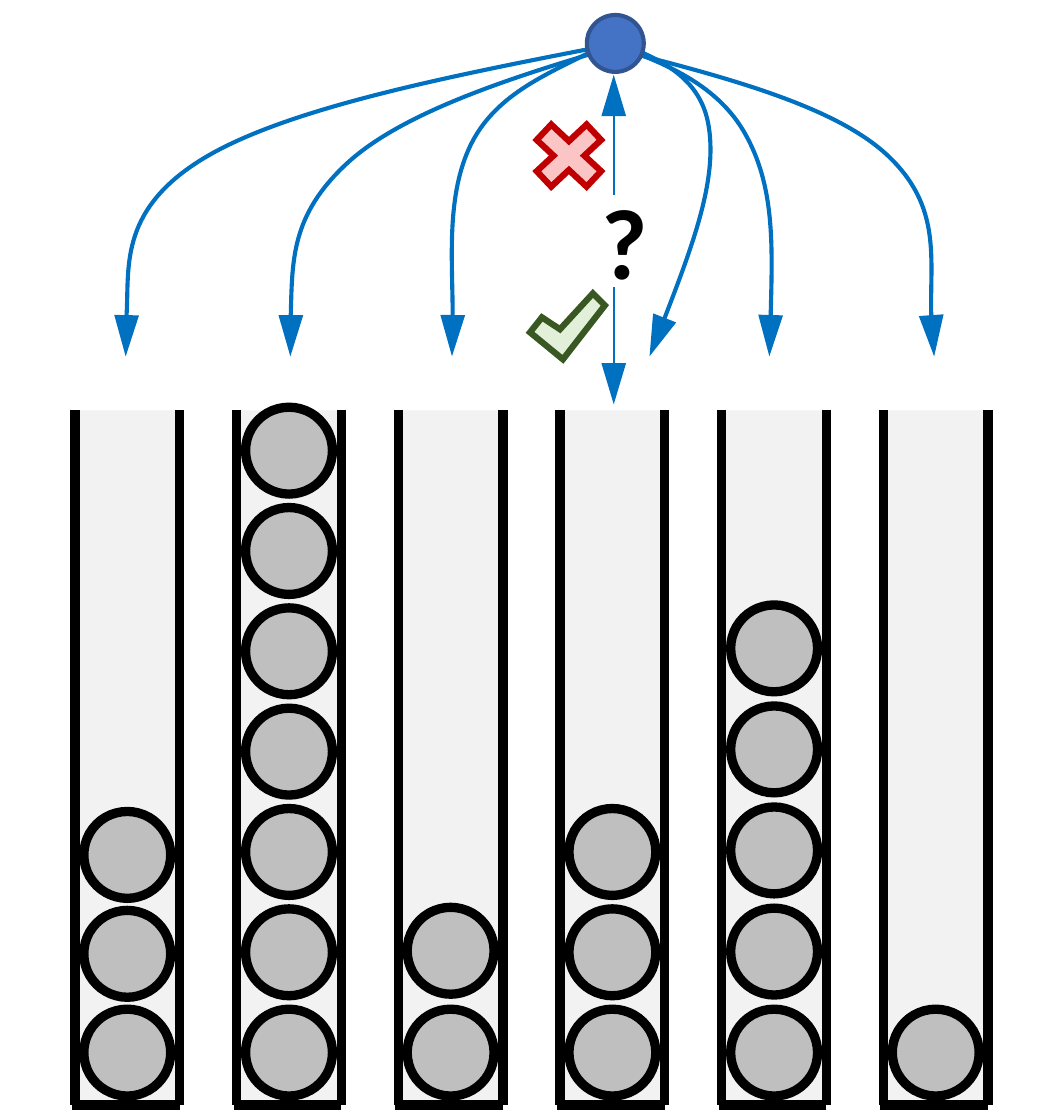
from lxml import etree
from pptx import Presentation
from pptx.dml import color
from pptx.enum import shapes, text
from pptx.oxml import ns
from pptx.util import Inches, Pt

COLORS = {
    "black": "000000",
    "tube": "F2F2F2",
    "ball": "BFBFBF",
    "arrow": "0070C0",
    "check": "E2F0D9",
    "check_edge": "385723",
    "cross": "FBC5C5",
    "cross_edge": "C00000",
    "source": "4472C4",
    "source_edge": "325491",
}
CM_PER_INCH = 2.54
SLIDE_FORMAT = {"slide_width": Inches(9 / CM_PER_INCH), "slide_height": Inches(9.5 / CM_PER_INCH)}
BALL_STACKS = [(3, 2.71), (7, 1.36), (2, 3.03), (3, 2.7), (5, 2.02), (1, 3.37)]
TUBE_LEFT, TUBE_TOP, TUBE_BOTTOM, TUBE_WIDTH, TUBE_PITCH = 0.25, 1.37, 3.69, 0.35, 0.54
BALL_INSET, BALL_SIZE, LOWEST_BALL = 0.03, 0.29, 3.37
CHECK_POINTS = [(1.77, 1.11), (1.81, 1.06), (1.87, 1.1), (1.98, 0.98), (2.02, 1.02), (1.88, 1.2)]
CURVES = [
    [(2.09, 0.14), (1.52, 0.25), (0.95, 0.36), (0.39, 0.71), (0.42, 1.19), (0.42, 1.19)],
    [(1.96, 0.18), (1.8, 0.26), (1.64, 0.33), (1.49, 0.67), (1.52, 1.02), (1.51, 1.19)],
    [(2.11, 0.14), (1.73, 0.25), (1.35, 0.37), (0.97, 0.72), (0.97, 0.96), (0.97, 1.19)],
    [(1.96, 0.12), (2.17, 0.19), (2.38, 0.26), (2.59, 0.62), (2.58, 0.91), (2.57, 1.19)],
    [(1.96, 0.11), (2.15, 0.17), (2.33, 0.23), (2.4, 0.59), (2.29, 0.89), (2.17, 1.19)],
    [(1.96, 0.14), (2.36, 0.24), (2.77, 0.34), (3.15, 0.69), (3.09, 0.97), (3.12, 1.19)],
]
FRAME_FORMAT = {
    "word_wrap": True,
    "vertical_anchor": text.MSO_ANCHOR.MIDDLE,
    "auto_size": text.MSO_AUTO_SIZE.SHAPE_TO_FIT_TEXT,
}
FONT_FORMAT = {"name": "Calibri", "size": Pt(24), "bold": True}


def rgb(name):
    return color.RGBColor.from_string(COLORS[name])


def set_attributes(target, values):
    for name, value in values.items():
        setattr(target, name, value)


def style_line(shape, name, width):
    shape.line.color.rgb = rgb(name)
    shape.line.width = Pt(width)
    outline = shape._element.spPr.find(ns.qn("a:ln"))
    etree.SubElement(outline, ns.qn("a:miter"), lim="800000")


def style_shape(shape, fill=None, edge=None, width=1):
    shape.shadow.inherit = False
    if fill:
        shape.fill.solid()
        shape.fill.fore_color.rgb = rgb(fill)
    else:
        shape.fill.background()
    if edge:
        style_line(shape, edge, width)
    else:
        shape.line.fill.background()


def add_arrowhead(shape):
    outline = shape._element.spPr.find(ns.qn("a:ln"))
    etree.SubElement(outline, ns.qn("a:tailEnd"), type="triangle", w="med", len="lg")


def add_preset(slide, kind, box, fill, edge=None, width=1):
    shape = slide.shapes.add_shape(kind, *map(Inches, box))
    style_shape(shape, fill, edge, width)


def add_line(slide, start, end, name, width, arrow=False):
    connector = slide.shapes.add_connector(
        shapes.MSO_CONNECTOR.STRAIGHT, *map(Inches, start + end))
    style_line(connector, name, width)
    if arrow:
        add_arrowhead(connector)
    etree.SubElement(connector._element.spPr, ns.qn("a:effectLst"))


def add_outline(slide, points, close):
    corners = [(Inches(x), Inches(y)) for x, y in points]
    builder = slide.shapes.build_freeform(*corners[0])
    builder.add_line_segments(corners[1:], close=close)
    return builder.convert_to_shape()


def add_curved_arrow(slide, points):
    (x1, y1), (x2, y2) = points[2:4]
    middle = ((x1 + x2) / 2, (y1 + y2) / 2)
    shape = add_outline(slide, points[:3] + [middle] + points[3:], False)
    segments = list(shape._element.iter(ns.qn("a:lnTo")))
    for first in range(0, len(segments), 3):
        group = segments[first:first + 3]
        curve = etree.Element(ns.qn("a:cubicBezTo"))
        group[0].addprevious(curve)
        for segment in group:
            curve.append(segment[0])
            segment.getparent().remove(segment)
    style_shape(shape, edge="arrow")
    add_arrowhead(shape)


def add_tube(slide, left):
    right = left + TUBE_WIDTH
    add_preset(slide, shapes.MSO_SHAPE.RECTANGLE,
               (left, TUBE_TOP, TUBE_WIDTH, TUBE_BOTTOM - TUBE_TOP), "tube")
    for side in (left, right):
        add_line(slide, (side, TUBE_TOP), (side, TUBE_BOTTOM), "black", 2.25)
    add_line(slide, (right, TUBE_BOTTOM), (left - 0.01, TUBE_BOTTOM), "black", 2.25)


def add_balls(slide, left, count, highest):
    pitch = (LOWEST_BALL - highest) / max(count - 1, 1)
    for level in range(count):
        top = LOWEST_BALL - level * pitch
        add_preset(slide, shapes.MSO_SHAPE.OVAL,
                   (left + BALL_INSET, top, BALL_SIZE, BALL_SIZE), "ball", "black", 2.25)


def add_label(slide, box, wording):
    frame = slide.shapes.add_textbox(*map(Inches, box)).text_frame
    set_attributes(frame, FRAME_FORMAT)
    paragraph = frame.paragraphs[0]
    paragraph.alignment = text.PP_ALIGN.CENTER
    run = paragraph.add_run()
    run.text = wording
    set_attributes(run.font, FONT_FORMAT)
    run.font.color.rgb = rgb("black")


def main():
    presentation = Presentation()
    set_attributes(presentation, SLIDE_FORMAT)
    presentation.element.find(ns.qn("p:sldSz")).attrib.pop("type", None)
    slide = presentation.slides.add_slide(presentation.slide_layouts[6])

    for column, (count, highest) in enumerate(BALL_STACKS):
        left = TUBE_LEFT + column * TUBE_PITCH
        add_tube(slide, left)
        add_balls(slide, left, count, highest)

    add_label(slide, (1.91, 0.55, 0.29, 0.5), "?")
    for start, end in ((0.96, 1.35), (0.65, 0.25)):
        add_line(slide, (2.05, start), (2.05, end), "arrow", 0.5, arrow=True)

    check = add_outline(slide, CHECK_POINTS, True)
    style_shape(check, "check", "check_edge", 1.5)
    add_preset(slide, shapes.MSO_SHAPE.MATH_MULTIPLY,
               (1.74, 0.37, 0.32, 0.3), "cross", "cross_edge", 1.5)

    for points in CURVES:
        add_curved_arrow(slide, points)
    add_preset(slide, shapes.MSO_SHAPE.OVAL, (1.96, 0.05, 0.19, 0.19), "source", "source_edge")

    presentation.save("out.pptx")


if __name__ == "__main__":
    main()
